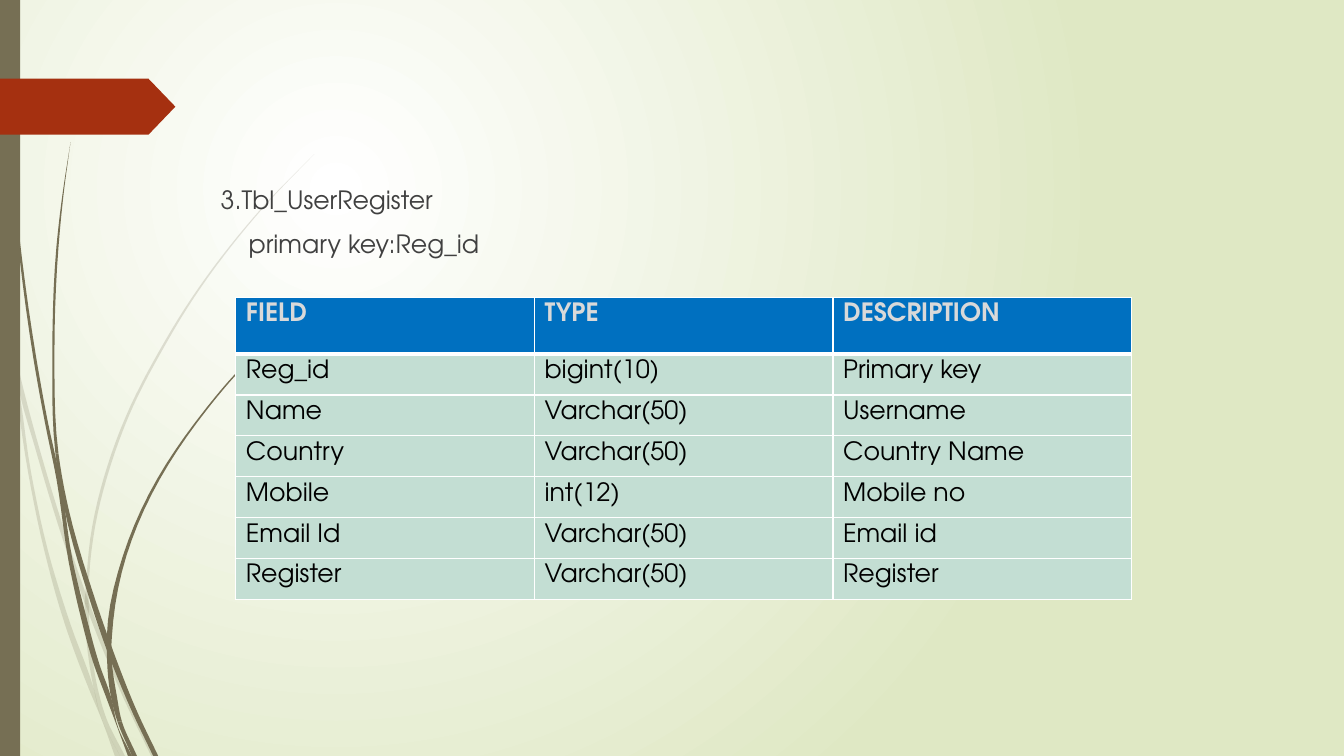
from dataclasses import dataclass

from lxml.etree import SubElement
from pptx import Presentation
from pptx.dml.color import RGBColor
from pptx.enum.shapes import MSO_SHAPE
from pptx.oxml.ns import qn
from pptx.util import Pt


@dataclass(frozen=True)
class Theme:
    font: str = "TeX Gyre Adventor"
    size: int = 18
    white: str = "FFFFFF"
    backdrop: str = "DFE8C4"
    olive: str = "766F54"
    rust: str = "A53010"
    body: str = "404040"
    header_fill: str = "0070C0"
    header_text: str = "D9D9D9"
    row_fill: str = "C3DED3"
    row_text: str = "000000"


theme = Theme()


def write(para, text, color, bold=False, before=0, indent=0):
    para.space_before = Pt(before)
    para._p.get_or_add_pPr().set("marL", str(Pt(indent)))
    span = para.add_run()
    span.text = text
    span.font.name = theme.font
    span.font.size = Pt(theme.size)
    span.font.bold = bold
    span.font.color.rgb = RGBColor.from_string(color)


def smooth(stations, side):
    """Points down one edge (0 left, 1 right) of a blade, five to each gap between stations."""
    knots = [(station[2], station[side]) for station in stations]
    steps = [b[0] - a[0] for a, b in zip(knots, knots[1:])]
    grades = [(b[1] - a[1]) / (b[0] - a[0]) for a, b in zip(knots, knots[1:])]
    slopes = [grades[0]]
    for i in range(1, len(grades)):
        weighted = grades[i - 1] * steps[i] + grades[i] * steps[i - 1]
        slopes.append(weighted / (steps[i - 1] + steps[i]))
    slopes.append(grades[-1])
    points = []
    for i, step in enumerate(steps):
        (y, start), end = knots[i], knots[i + 1][1]
        for t in (0, 0.2, 0.4, 0.6, 0.8):
            x = (start * (1 + 2 * t) * (1 - t) ** 2 + end * t * t * (3 - 2 * t)
                 + step * t * (1 - t) * (slopes[i] * (1 - t) - slopes[i + 1] * t))
            points.append((Pt(x), Pt(y + step * t)))
    return points + [(Pt(knots[-1][1]), Pt(knots[-1][0]))]


deck = Presentation()
deck.slide_width, deck.slide_height = Pt(960), Pt(540)
page = deck.slides.add_slide(deck.slide_layouts[6])

# Background: circular gradient
backdrop = page.background.fill
backdrop.gradient()
for stop, color in zip(backdrop.gradient_stops, (theme.white, theme.backdrop)):
    stop.color.rgb = RGBColor.from_string(color)
gradient = page._element.find(".//" + qn("a:gradFill"))
gradient.remove(gradient.find(qn("a:lin")))
circle = SubElement(gradient, qn("a:path"), path="circle")
SubElement(circle, qn("a:fillToRect"), l="50000", t="50000", r="100000", b="100000")

# Grass blades: the stations where a blade is cut into segments,
# then its stations as (left edge, right edge, height on the page)
pale_blades = [
    ((2, 8), [
        (0, 0, 203), (2.9, 6.5, 231.8), (7.9, 8.3, 252), (10.4, 12.2, 270.7),
        (20.2, 22.3, 338), (31.6, 34.2, 393), (46.4, 50.4, 446), (63.4, 67, 491.8),
        (72.7, 72.7, 514), (82, 85.7, 540)]),
    ((4,), [
        (10, 10, 248.4), (12.2, 15, 270.7), (26.3, 29.2, 324), (41.8, 45, 375.8),
        (60.5, 63.7, 430.5), (88.6, 91.6, 499.5), (108, 111.6, 540)]),
    ((8, 9, 12), [
        (224.6, 224.6, 110), (193, 193.8, 142), (164.2, 165.4, 175.7), (137.5, 139, 212),
        (113.8, 115.7, 250.6), (93.2, 95.2, 290), (77, 79.2, 332), (65.9, 68, 376),
        (61.2, 63.4, 421), (60.5, 63.4, 431.3), (62.6, 65.5, 465), (67, 69.8, 491.8),
        (72.7, 76.3, 514), (85.7, 89.3, 540)]),
]
dark_blades = [
    ((5, 10), [
        (2.2, 2.9, 0), (5, 5.8, 79), (12.2, 13.7, 167.8), (23.8, 25.9, 255.6),
        (32.2, 34.4, 302.4), (40.3, 43, 342), (49, 52, 401), (57, 61, 438),
        (67, 71, 474.5), (75.6, 79.2, 497.5), (84, 84.5, 520), (91.4, 94.3, 540)]),
    ((4, 5, 7), [
        (50.4, 50.4, 101.5), (44.6, 45.4, 139), (40.3, 41.8, 176.4), (37.4, 38.9, 251.3),
        (39.6, 41.8, 324), (46, 49, 363.6), (63.4, 67.3, 426.2), (76.3, 80.6, 464.4),
        (95, 98.6, 509.8), (109.4, 113, 540)]),
    ((5, 6, 8), [
        (187.2, 187.9, 247.7), (166.3, 167.6, 268.9), (146.9, 148.3, 292),
        (112.3, 114.3, 342), (87.8, 90.3, 397), (76.3, 79.9, 455), (76.3, 79.5, 464),
        (79.2, 83.5, 497.5), (83.9, 87.1, 515.5), (94.3, 97.9, 540)]),
]
for blades, opacity in ((pale_blades, 20), (dark_blades, 100)):
    for cuts, stations in blades:
        left, right = smooth(stations, 0), smooth(stations, 1)
        ends = (0, *cuts, len(stations) - 1)
        for first, last in zip(ends, ends[1:]):
            part = slice(5 * first, 5 * last + 1)
            outline = left[part] + right[part][::-1]
            builder = page.shapes.build_freeform(*outline[0])
            builder.add_line_segments(outline[1:], close=True)
            segment = builder.convert_to_shape()
            segment.shadow.inherit = False
            segment.line.fill.background()
            segment.fill.solid()
            segment.fill.fore_color.rgb = RGBColor.from_string(theme.olive)
            tint = segment._element.spPr.find(".//" + qn("a:srgbClr"))
            SubElement(tint, qn("a:alpha"), val=str(opacity * 1000))

# Side bar and page marker
for preset, top, width, height, color in (
    (MSO_SHAPE.RECTANGLE, 0, 14.4, 540, theme.olive),
    (MSO_SHAPE.PENTAGON, 56.2, 125.3, 40, theme.rust),
):
    accent = page.shapes.add_shape(preset, 0, Pt(top), Pt(width), Pt(height))
    accent.shadow.inherit = False
    accent.line.fill.background()
    accent.fill.solid()
    accent.fill.fore_color.rgb = RGBColor.from_string(color)
accent.adjustments[0] = 0.48

# Heading
box = page.shapes.add_textbox(Pt(150.5), Pt(128.2), Pt(702), Pt(360.7))
frame = box.text_frame
frame.word_wrap = True
write(frame.paragraphs[0], "3.Tbl_UserRegister", theme.body)
write(frame.add_paragraph(), "primary key:Reg_id", theme.body, before=10, indent=20)

# Field table
records = [
    ("FIELD", "TYPE", "DESCRIPTION"),
    ("Reg_id", "bigint(10)", "Primary key"),
    ("Name", "Varchar(50)", "Username"),
    ("Country", "Varchar(50)", "Country Name"),
    ("Mobile", "int(12)", "Mobile no"),
    ("Email Id", "Varchar(50)", "Email id"),
    ("Register", "Varchar(50)", "Register"),
]
table = page.shapes.add_table(
    len(records), 3, Pt(168.5), Pt(212.4), Pt(640), Pt(215.7)).table
for column in table.columns:
    column.width = Pt(213.3)
for r, record in enumerate(records):
    header = r == 0
    table.rows[r].height = Pt(40.5 if header else 29.2)
    for c, text in enumerate(record):
        cell = table.cell(r, c)
        cell.margin_top, cell.margin_bottom = Pt(4.2), 0
        write(cell.text_frame.paragraphs[0], text,
              theme.header_text if header else theme.row_text, bold=header)
        properties = cell._tc.get_or_add_tcPr()
        for edge in ("lnL", "lnR", "lnT", "lnB"):
            thick = (header and edge == "lnB") or (r == 1 and edge == "lnT")
            border = SubElement(properties, qn("a:" + edge), w=str(Pt(3 if thick else 1)))
            SubElement(SubElement(border, qn("a:solidFill")), qn("a:srgbClr"), val=theme.white)
        cell.fill.solid()
        cell.fill.fore_color.rgb = RGBColor.from_string(
            theme.header_fill if header else theme.row_fill)

deck.save("out.pptx")
